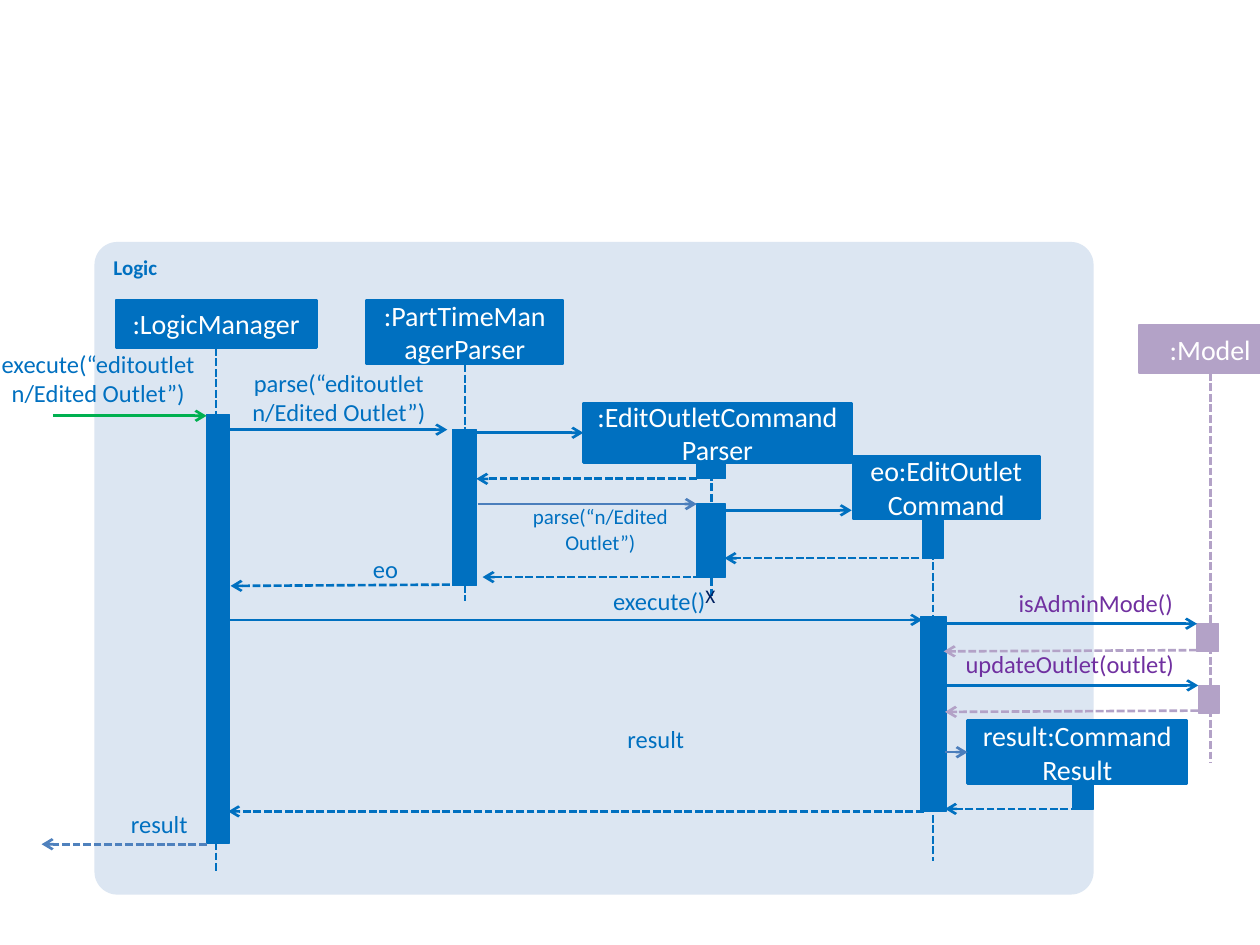
from dataclasses import dataclass

from pptx import Presentation
from pptx import util as u
from pptx.dml import color
from pptx.enum import dml, shapes, text
from pptx.oxml import ns, xmlchemy


@dataclass(frozen=True)
class Theme:
    """Colours, type sizes and line widths of the diagram."""
    font: str = "Calibri"
    panel: str = "DCE6F2"
    logic: str = "0070C0"
    model: str = "B3A2C7"
    model_text: str = "7030A0"
    entry: str = "00B050"
    exit: str = "4F81BD"
    steel: str = "4B7EBC"
    destroyed: str = "002060"
    white: str = "FFFFFF"
    head_size: int = 16
    caption_size: int = 14
    small_size: int = 12
    mark_size: int = 11
    line: float = 1.5
    thin: float = 0.75


THEME = Theme()
LEFT, CENTER, RIGHT = text.PP_ALIGN.LEFT, text.PP_ALIGN.CENTER, text.PP_ALIGN.RIGHT
COLUMNS, ROWS = 100, 75
TOP_SIDE, LEFT_SIDE, BOTTOM_SIDE = 0, 1, 2


def rgb(value):
    """Return a colour object for a hex value."""
    return color.RGBColor.from_string(value)


def write_text(frame, content, *, size, tint, align=LEFT, bold=False,
               anchor=text.MSO_ANCHOR.TOP, wrap=True):
    """Fill a text frame, one paragraph for each line of content."""
    frame.word_wrap = wrap
    frame.vertical_anchor = anchor
    frame.text = content
    for paragraph in frame.paragraphs:
        paragraph.alignment = align
        for run in paragraph.runs:
            run.font.name = THEME.font
            run.font.size = u.Pt(size)
            run.font.bold = bold
            run.font.color.rgb = rgb(tint)


class SequenceDiagram:
    """Draws sequence diagram parts on one slide, measured in columns and rows."""

    def __init__(self, deck):
        """Add a blank slide and work out its grid."""
        self.slide = deck.slides.add_slide(deck.slide_layouts[6])
        self.column = deck.slide_width / COLUMNS
        self.row = deck.slide_height / ROWS

    def place(self, *lengths):
        """Turn alternating columns and rows into slide lengths."""
        return [round(length * (self.row if i % 2 else self.column))
                for i, length in enumerate(lengths)]

    def block(self, box, fill, width=None, kind=shapes.MSO_SHAPE.RECTANGLE):
        """Add a filled shape, outlined in its own colour if a width is given."""
        shape = self.slide.shapes.add_shape(kind, *self.place(*box))
        shape.shadow.inherit = False
        shape.fill.solid()
        shape.fill.fore_color.rgb = rgb(fill)
        if width:
            shape.line.color.rgb = rgb(fill)
            shape.line.width = u.Pt(width)
        else:
            shape.line.fill.background()
        return shape

    def panel(self, label, box):
        """Add the rounded frame of a component."""
        panel = self.block(box, THEME.panel, kind=shapes.MSO_SHAPE.ROUNDED_RECTANGLE)
        panel.adjustments[0] = 0.035
        write_text(panel.text_frame, label, size=THEME.small_size, tint=THEME.logic, bold=True)

    def head(self, label, box, fill=THEME.logic):
        """Add the named box of a participant."""
        head = self.block(box, fill, THEME.line)
        write_text(head.text_frame, label, size=THEME.head_size, tint=THEME.white,
                   align=CENTER, anchor=text.MSO_ANCHOR.MIDDLE)
        return head

    def bar(self, box, fill=THEME.logic):
        """Add an activation bar."""
        return self.block(box, fill, THEME.thin)

    def line(self, start, end, tint=THEME.logic, dashed=False, arrow=False,
             origin=None, target=None):
        """Add a line, joined to the given (shape, side) pairs."""
        line = self.slide.shapes.add_connector(
            shapes.MSO_CONNECTOR.STRAIGHT, *self.place(*start, *end))
        if origin:
            line.begin_connect(*origin)
        if target:
            line.end_connect(*target)
        line.line.color.rgb = rgb(tint)
        line.line.width = u.Pt(THEME.line)
        if dashed:
            line.line.dash_style = dml.MSO_LINE.SQUARE_DOT
        properties = line._element.spPr
        if arrow:
            tip = xmlchemy.OxmlElement("a:tailEnd")
            tip.set("type", "arrow")
            properties.find(ns.qn("a:ln")).append(tip)
        properties.append(xmlchemy.OxmlElement("a:effectLst"))

    def call(self, start, end, row, tint=THEME.logic, target=None):
        """Add a solid arrow along one row."""
        self.line((start, row), (end, row), tint, arrow=True, target=target)

    def reply(self, start, end, row, tint=THEME.logic, drop=0):
        """Add a dashed arrow that drops slightly on its way back."""
        self.line((start, row), (end, row + drop), tint, dashed=True, arrow=True)

    def caption(self, label, box, align=RIGHT, size=THEME.caption_size,
                tint=THEME.logic, inset=False, wrap=True):
        """Add the wording beside a message."""
        frame = self.slide.shapes.add_textbox(*self.place(*box)).text_frame
        if not inset:
            frame.margin_left = frame.margin_right = 0
            frame.margin_top = frame.margin_bottom = 0
        write_text(frame, label, size=size, tint=tint, align=align, wrap=wrap)
        frame.auto_size = text.MSO_AUTO_SIZE.SHAPE_TO_FIT_TEXT


def main():
    """Build the edit outlet sequence diagram."""
    deck = Presentation()
    deck.slide_width, deck.slide_height = u.Inches(10), u.Inches(7.5)
    diagram = SequenceDiagram(deck)
    diagram.panel("Logic", (7.5, 19.2, 79.3, 51.8))

    manager = diagram.head(":LogicManager", (9.2, 23.8, 15.9, 3.8))
    parser = diagram.head(":PartTimeManagerParser", (29.1, 23.8, 15.6, 5.1))
    diagram.head("eo:EditOutlet\vCommand", (67.7, 36.2, 14.8, 5))
    command_parser = diagram.head(":EditOutletCommand\nParser", (46.3, 32, 21.3, 4.7))
    model = diagram.head(":Model", (90.4, 25.8, 11.3, 3.8), THEME.model)
    result = diagram.head("result:Command Result", (76.8, 57.2, 17.4, 5))

    parser_created = diagram.bar((55.3, 36.7, 2.3, 1.3))
    command_created = diagram.bar((73.2, 41.3, 1.7, 3))
    for origin, side, x, top, bottom, tint in (
        (manager, BOTTOM_SIDE, 17.15, 27.6, 69.2, THEME.logic),
        (parser, BOTTOM_SIDE, 36.9, 28.9, 47.7, THEME.logic),
        (parser_created, TOP_SIDE, 56.45, 36.7, 47.5, THEME.logic),
        (command_created, TOP_SIDE, 74.05, 41.3, 68.3, THEME.logic),
        (model, BOTTOM_SIDE, 96.05, 29.6, 60.5, THEME.model),
    ):
        diagram.line((x, top), (x, bottom), tint, dashed=True, origin=(origin, side))

    for box in ((16.4, 32.9, 1.8, 34), (35.9, 34.1, 1.9, 12.4), (55.3, 40, 2.3, 5.8),
                (73.1, 48.9, 2, 15.5), (85.1, 62.3, 1.7, 1.9)):
        diagram.bar(box)
    for left, top in ((95, 49.5), (95.1, 54.4)):
        diagram.bar((left, top, 1.7, 2.2), THEME.model)

    diagram.call(4.2, 16.4, 33, THEME.entry)
    diagram.call(18.1, 35.5, 34.1)
    diagram.call(37.3, 46.3, 34.35, target=(command_parser, LEFT_SIDE))
    diagram.call(37.9, 55.3, 40, THEME.steel)
    diagram.call(57.5, 67.6, 40.5)
    diagram.call(18.1, 73.2, 49.2)
    diagram.call(74.9, 95, 49.5)
    diagram.call(75, 95.1, 54.4)
    diagram.call(75, 76.8, 59.7, THEME.steel, target=(result, LEFT_SIDE))

    diagram.reply(55.3, 37.8, 38)
    diagram.reply(73.8, 57.5, 44.3)
    diagram.reply(56.5, 38.3, 45.8)
    diagram.reply(35.7, 18.3, 46.4, drop=0.1)
    diagram.reply(95, 74.9, 51.6, THEME.model, drop=0.1)
    diagram.reply(95.1, 75, 56.4, THEME.model, drop=0.1)
    diagram.reply(85.6, 75, 64.2)
    diagram.reply(73.3, 18.1, 64.4)
    diagram.reply(16.4, 3.3, 67, THEME.exit)

    for left, top in ((0, 27.7), (19.1, 29.2)):
        diagram.caption("execute(“editoutlet n/Edited Outlet”)" if left == 0
                        else "parse(“editoutlet n/Edited Outlet”)",
                        (left, top, 15.6, 4.7), CENTER)
    diagram.caption("parse(“n/Edited Outlet”)", (42.1, 40, 11.1, 4), CENTER, THEME.small_size)
    diagram.caption("eo", (29.2, 44, 2.4, 2.4))
    diagram.caption("execute()", (46.6, 46.5, 9.4, 2.4))
    diagram.caption("result", (47.5, 57.5, 6.8, 2.4))
    diagram.caption("result", (6.6, 64.2, 8.3, 2.4))
    diagram.caption("isAdminMode()", (76.4, 46.7, 16.7, 2.4), tint=THEME.model_text)
    diagram.caption("updateOutlet(outlet)", (76.5, 51.5, 16.7, 2.4), tint=THEME.model_text)
    diagram.caption("X", (55, 45.9, 2.8, 2.9), LEFT, THEME.mark_size, THEME.destroyed,
                    inset=True, wrap=False)
    deck.save("out.pptx")


if __name__ == "__main__":
    main()
